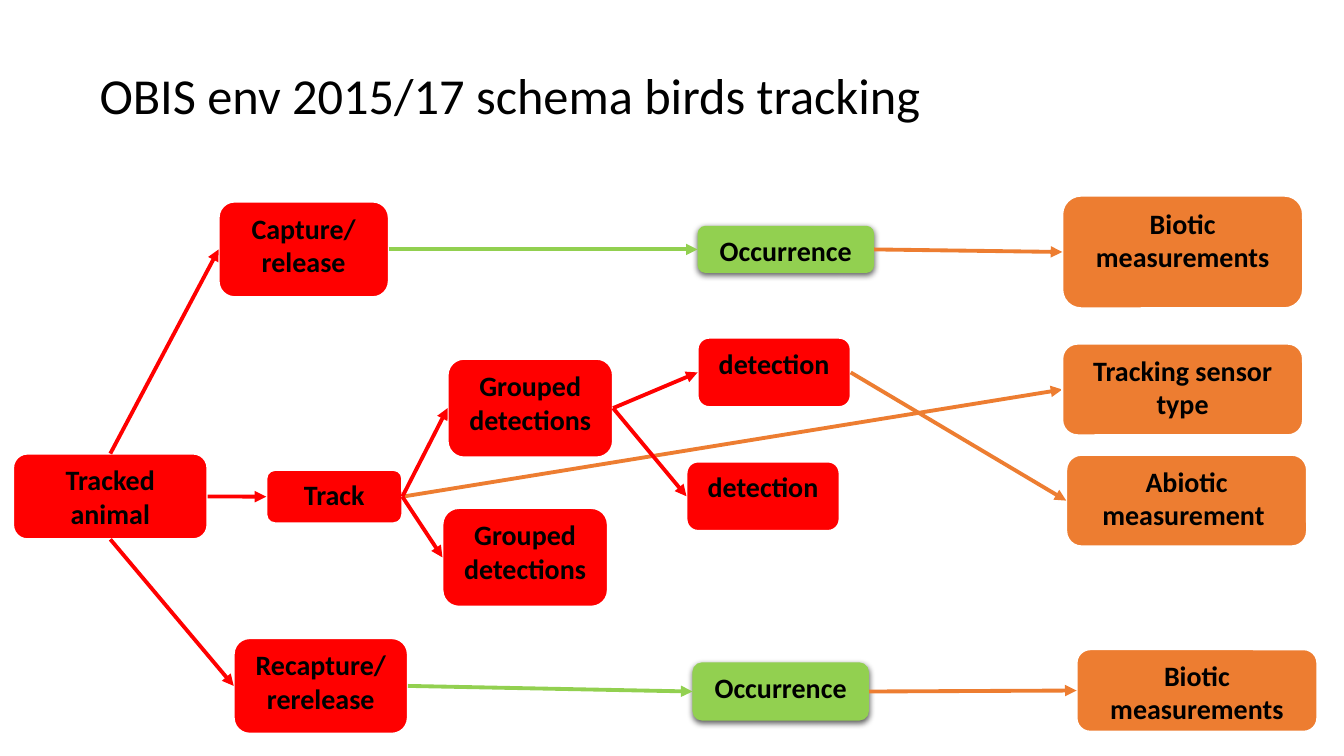
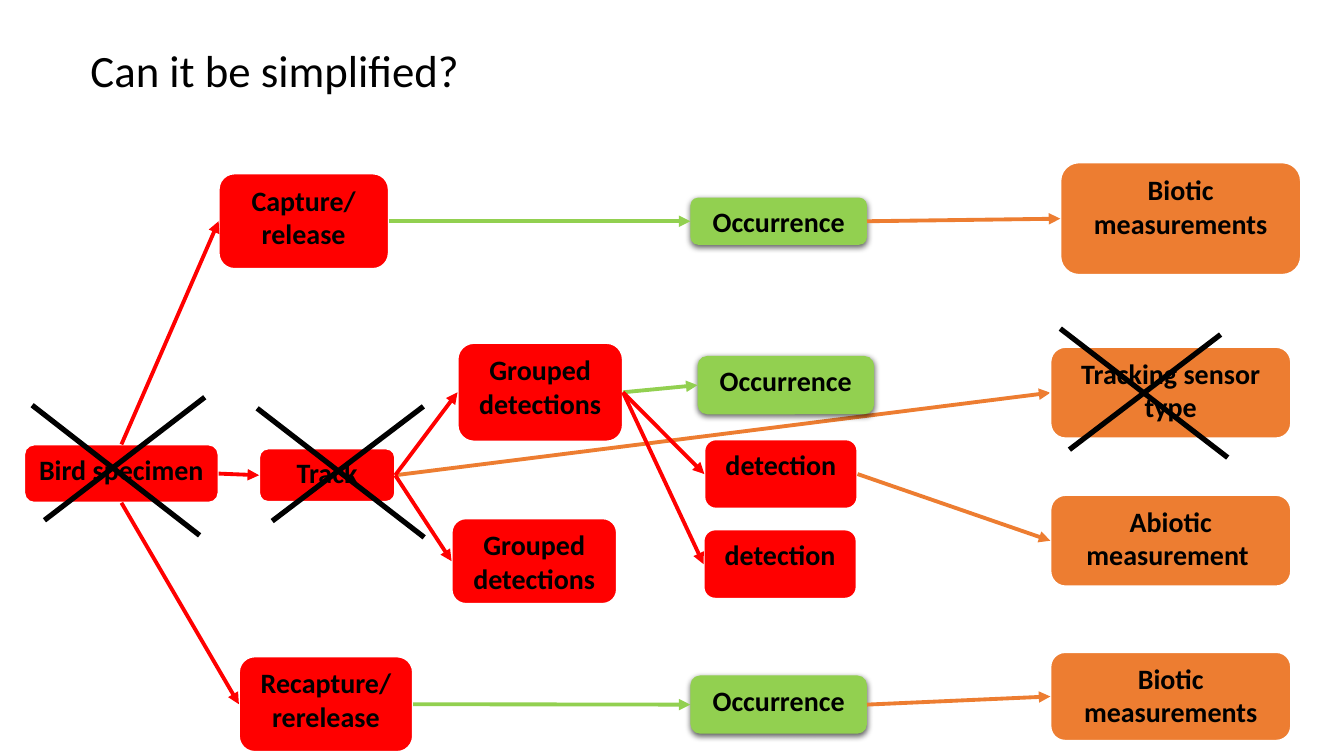
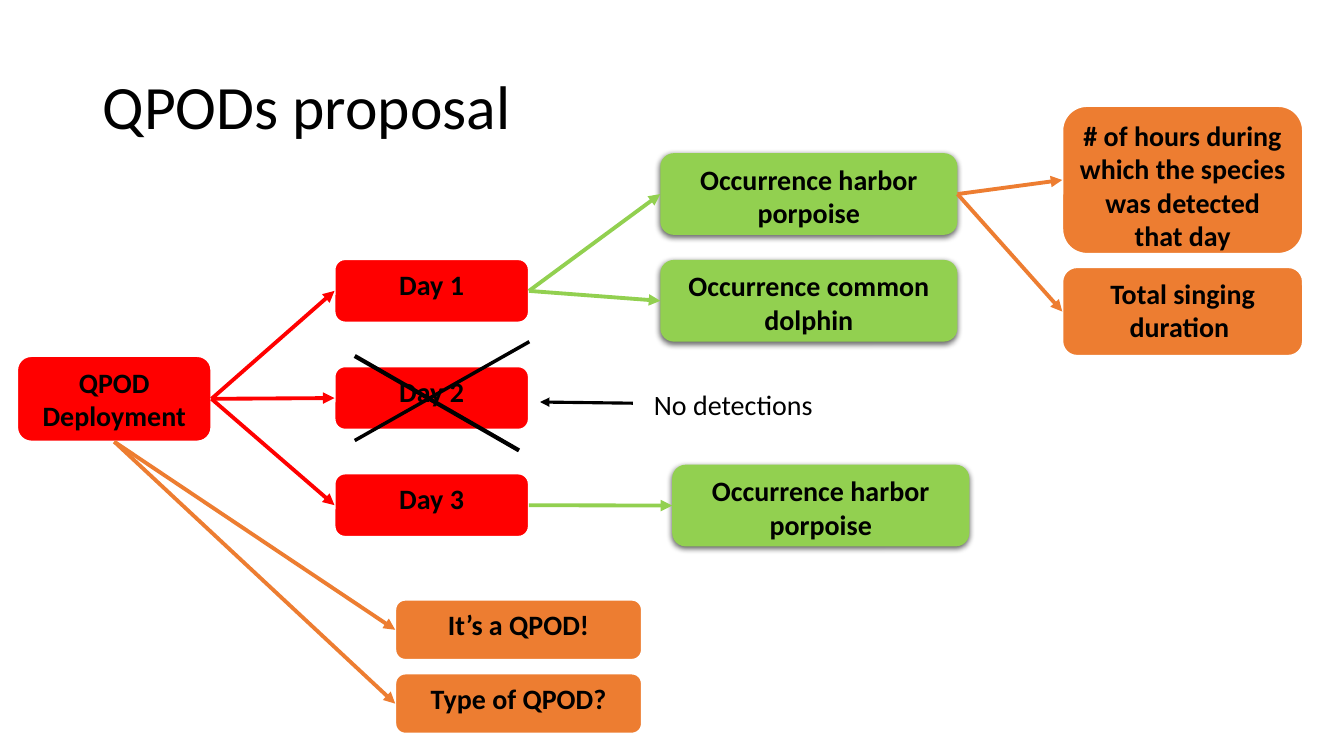
import lxml.etree
import pptx
import pptx.dml.color
import pptx.enum.shapes
import pptx.enum.text
import pptx.oxml
import pptx.oxml.ns
import pptx.util

Cm = pptx.util.Cm
Pt = pptx.util.Pt
RGBColor = pptx.dml.color.RGBColor
qn = pptx.oxml.ns.qn

# Shared style
RED = RGBColor(0xFF, 0x00, 0x00)
GREEN = RGBColor(0x92, 0xD0, 0x50)
ORANGE = RGBColor(0xED, 0x7D, 0x31)
BLACK = RGBColor(0x00, 0x00, 0x00)
WHITE = RGBColor(0xFF, 0xFF, 0xFF)
FONT = "Calibri"
TEXT_SIZE = 20
LINK_WIDTH = 2.75
CROSS_WIDTH = 3.75
TOP, LEFT, BOTTOM, RIGHT = range(4)

SHADOW = (
    '<a:effectLst xmlns:a="http://schemas.openxmlformats.org/drawingml/2006/main">'
    '<a:outerShdw blurRad="57150" dist="19050" dir="5400000" algn="ctr" rotWithShape="0">'
    '<a:srgbClr val="000000"><a:alpha val="63000"/></a:srgbClr>'
    '</a:outerShdw></a:effectLst>'
)

# Box sizes in cm
START = (4.9, 2.16)
SPECIMEN = (4.9, 1.47)
CAPTURE = (4.29, 2.41)
RECAPTURE = (4.39, 2.41)
TRACK = (3.43, 1.35)
GROUP = (4.17, 2.49)
GROUP_LOW = (4.17, 2.16)
DETECTION = (3.86, 1.75)
OCCURRENCE = (4.45, 1.47)
OCCURRENCE_LOW = (4.45, 1.19)
MEASURE = (6.07, 2.31)
MEASURE_TALL = (6.07, 2.84)
MEASURE_LOW = (6.07, 2.08)
MEASURE_MID = (6.07, 2.24)
HOURS = (6.07, 3.73)
DAY = (4.9, 1.6)
SPECIES = (7.49, 2.06)
DEVICE = (6.22, 1.52)

# Links: source, target, and the side left from; each takes its target's colour
TRACKING_LINKS = [
    ("animal", "capture", TOP),
    ("animal", "track", RIGHT),
    ("animal", "recapture", BOTTOM),
    ("capture", "capture occurrence", RIGHT),
    ("capture occurrence", "capture biotic", RIGHT),
    ("track", "group 1", RIGHT),
    ("track", "group 2", RIGHT),
    ("group 1", "detection 1", RIGHT),
    ("group 1", "detection 2", RIGHT),
    ("detection 1", "abiotic", RIGHT),
    ("recapture", "recapture occurrence", RIGHT),
    ("recapture occurrence", "recapture biotic", RIGHT),
]
SENSOR_LINK = [("track", "sensor", RIGHT)]

DAY_TOP, DAY_STEP = 6.53, 2.7

# Boxes: name, text, colour, left, top, size; strokes: from x, y, to x, y, width
SLIDES = [
    {
        "title": ("OBIS env 2015/17 schema birds tracking", 36, (2.26, 0.64, 30.61, 3.68)),
        "boxes": [
            ("animal", "Tracked animal", RED, 0.33, 11.43, START),
            ("capture", "Capture/ release", RED, 5.51, 5.08, CAPTURE),
            ("track", "Track", RED, 6.71, 11.84, TRACK),
            ("recapture", "Recapture/ rerelease", RED, 5.89, 16.08, RECAPTURE),
            ("group 1", "Grouped detections", RED, 11.28, 9.04, GROUP),
            ("group 2", "Grouped detections", RED, 11.15, 12.8, GROUP),
            ("detection 1", "detection", RED, 17.58, 8.51, DETECTION),
            ("detection 2", "detection", RED, 17.3, 11.63, DETECTION),
            ("capture occurrence", "Occurrence", GREEN, 17.58, 5.69, OCCURRENCE_LOW),
            ("recapture occurrence", "Occurrence", GREEN, 17.45, 16.69, OCCURRENCE),
            ("capture biotic", "Biotic measurements", ORANGE, 26.77, 4.93, MEASURE_TALL),
            ("sensor", "Tracking sensor type", ORANGE, 26.77, 8.66, MEASURE),
            ("abiotic", "Abiotic\nmeasurement ", ORANGE, 26.87, 11.46, MEASURE),
            ("recapture biotic", "Biotic measurements", ORANGE, 27.13, 16.36, MEASURE_LOW),
        ],
        "links": TRACKING_LINKS,
        "back_links": SENSOR_LINK,
    },
    {
        "title": ("Can it be simplified?", 32, (2.03, 0, 29.21, 3.68)),
        "boxes": [
            ("animal", "Bird specimen", RED, 0.61, 11.2, SPECIMEN),
            ("capture", "Capture/ release", RED, 5.51, 4.37, CAPTURE),
            ("track", "Track", RED, 6.53, 11.3, TRACK),
            ("recapture", "Recapture/ rerelease", RED, 6.02, 16.54, RECAPTURE),
            ("group 1", "Grouped detections", RED, 11.53, 8.64, GROUP),
            ("group 2", "Grouped detections", RED, 11.38, 13.06, GROUP_LOW),
            ("detection 1", "detection", RED, 17.75, 11.07, DETECTION),
            ("detection 2", "detection", RED, 17.73, 13.34, DETECTION),
            ("capture occurrence", "Occurrence", GREEN, 17.4, 4.98, OCCURRENCE_LOW),
            ("group occurrence", "Occurrence", GREEN, 17.58, 8.97, OCCURRENCE),
            ("recapture occurrence", "Occurrence", GREEN, 17.4, 17.02, OCCURRENCE),
            ("capture biotic", "Biotic measurements", ORANGE, 26.72, 4.09, MEASURE_TALL),
            ("sensor", "Tracking sensor type", ORANGE, 26.47, 8.74, MEASURE),
            ("abiotic", "Abiotic\nmeasurement ", ORANGE, 26.47, 12.47, MEASURE),
            ("recapture biotic", "Biotic measurements", ORANGE, 26.47, 16.43, MEASURE_MID),
        ],
        "links": [("group 1", "group occurrence", RIGHT)] + TRACKING_LINKS,
        "back_links": SENSOR_LINK,
        "strokes": [
            (0.81, 10.21, 5.03, 13.49, CROSS_WIDTH),
            (1.12, 13.11, 5.16, 10.01, CROSS_WIDTH),
            (26.95, 11.33, 30.76, 8.43, CROSS_WIDTH),
            (26.72, 8.28, 30.94, 11.53, CROSS_WIDTH),
            (6.48, 10.29, 10.69, 13.54, CROSS_WIDTH),
            (6.86, 13.13, 10.67, 10.24, CROSS_WIDTH),
        ],
    },
    {
        "title": ("QPODs proposal", 44, (2.34, 0.91, 11.66, 3.68)),
        "boxes": [
            ("deployment", "QPOD Deployment", RED, 0.43, 8.97, START),
            *((f"day {n}", f"Day {n}", RED, 8.43, DAY_TOP + DAY_STEP * (n - 1), DAY)
              for n in (1, 2, 3)),
            ("porpoise 1", "Occurrence harbor porpoise", GREEN, 16.64, 3.86, SPECIES),
            ("dolphin", "Occurrence common dolphin", GREEN, 16.64, 6.55, SPECIES),
            ("porpoise 3", "Occurrence harbor porpoise", GREEN, 16.94, 11.71, SPECIES),
            ("hours", "# of hours during which the species was detected that day",
             ORANGE, 26.77, 2.67, HOURS),
            ("singing", "Total singing duration ", ORANGE, 26.77, 6.73, MEASURE_MID),
            ("device", "It’s a QPOD!", ORANGE, 9.96, 15.11, DEVICE),
            ("device type", "Type of QPOD?", ORANGE, 9.96, 16.97, DEVICE),
        ],
        "links": [
            ("deployment", "day 1", RIGHT),
            ("deployment", "day 2", RIGHT),
            ("deployment", "day 3", RIGHT),
            ("day 1", "porpoise 1", RIGHT),
            ("day 1", "dolphin", RIGHT),
            ("day 3", "porpoise 3", RIGHT),
            ("porpoise 1", "hours", RIGHT),
            ("porpoise 1", "singing", RIGHT),
            ("deployment", "device", BOTTOM),
            ("deployment", "device type", BOTTOM),
        ],
        "strokes": [
            (13.34, 8.61, 8.94, 11.1, 2.5),
            (8.94, 8.97, 13.08, 11.35, 3),
        ],
        "note": ("No detections", (16.23, 9.65, 4.55, 1.12), (15.95, 10.16, 13.61, 10.13, 2.25)),
    },
]


def write(paragraph, text, size, bold=False):
    run = paragraph.add_run()
    run.text = text
    run.font.name = FONT
    run.font.size = Pt(size)
    run.font.bold = bold
    run.font.color.rgb = BLACK


def add_label(slide, text, size, place, wrap=True):
    label = slide.shapes.add_textbox(*map(Cm, place)).text_frame
    label.word_wrap = wrap
    write(label.paragraphs[0], text, size)
    return label


def add_title(slide, text, size, place):
    title = add_label(slide, text, size, place)
    title.vertical_anchor = pptx.enum.text.MSO_ANCHOR.MIDDLE
    title.paragraphs[0].line_spacing = 0.9


def add_box(slide, text, colour, left, top, size):
    box = slide.shapes.add_shape(
        pptx.enum.shapes.MSO_SHAPE.ROUNDED_RECTANGLE, *map(Cm, (left, top, *size)))
    box.fill.solid()
    box.fill.fore_color.rgb = colour
    if colour == GREEN:
        box.line.fill.background()
        box._element.spPr.append(pptx.oxml.parse_xml(SHADOW))
    else:
        box.shadow.inherit = False
        box.line.color.rgb = WHITE
        box.line.width = Pt(1.5)
    frame = box.text_frame
    frame.word_wrap = True
    frame.vertical_anchor = pptx.enum.text.MSO_ANCHOR.TOP
    for number, line in enumerate(text.split("\n")):
        paragraph = frame.add_paragraph() if number else frame.paragraphs[0]
        paragraph.alignment = pptx.enum.text.PP_ALIGN.CENTER
        write(paragraph, line, TEXT_SIZE, bold=True)
    return box


def add_stroke(slide, x1, y1, x2, y2, width, colour=BLACK, arrow=False):
    stroke = slide.shapes.add_connector(
        pptx.enum.shapes.MSO_CONNECTOR.STRAIGHT, *map(Cm, (x1, y1, x2, y2)))
    stroke.line.color.rgb = colour
    stroke.line.width = Pt(width)
    if arrow:
        lxml.etree.SubElement(stroke.line._get_or_add_ln(), qn("a:tailEnd"), type="triangle")
    lxml.etree.SubElement(stroke._element.spPr, qn("a:effectLst"))
    return stroke


def add_link(slide, source, target, side):
    link = add_stroke(slide, 0, 0, 1, 1, LINK_WIDTH, target.fill.fore_color.rgb, arrow=True)
    link.begin_connect(source, side)
    link.end_connect(target, LEFT)
    return link


def build_slide(deck, content):
    slide = deck.slides.add_slide(deck.slide_layouts[6])
    boxes = {name: add_box(slide, *rest) for name, *rest in content["boxes"]}
    for source, target, side in content["links"]:
        add_link(slide, boxes[source], boxes[target], side)
    # Links that run behind the boxes
    for source, target, side in content.get("back_links", []):
        link = add_link(slide, boxes[source], boxes[target], side)
        slide.shapes._spTree.insert(2, link._element)
    # Crossed-out boxes
    for stroke in content.get("strokes", []):
        add_stroke(slide, *stroke)
    if "note" in content:
        text, place, pointer = content["note"]
        add_stroke(slide, *pointer, arrow=True)
        add_label(slide, text, TEXT_SIZE, place, wrap=False)
    add_title(slide, *content["title"])


def main():
    deck = pptx.Presentation()
    deck.slide_width, deck.slide_height = Cm(33.87), Cm(19.05)
    for content in SLIDES:
        build_slide(deck, content)
    deck.save("out.pptx")


if __name__ == "__main__":
    main()
